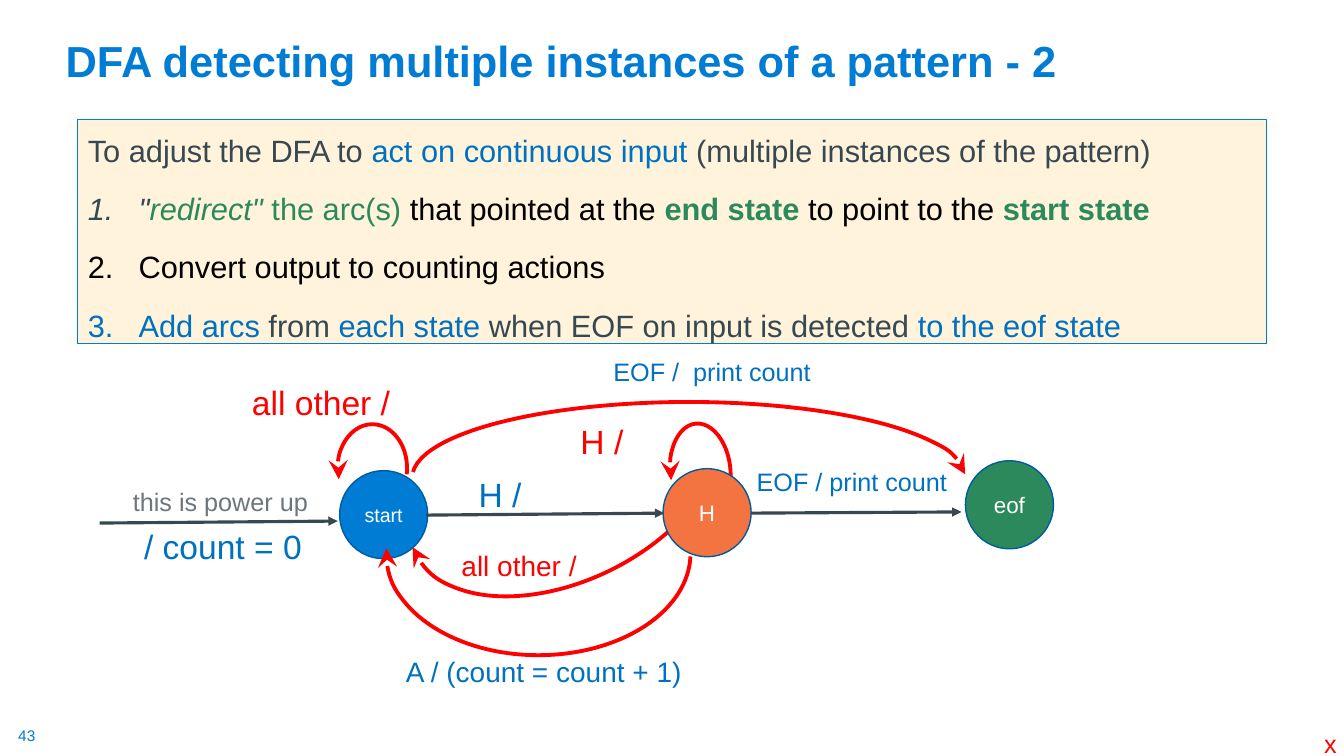
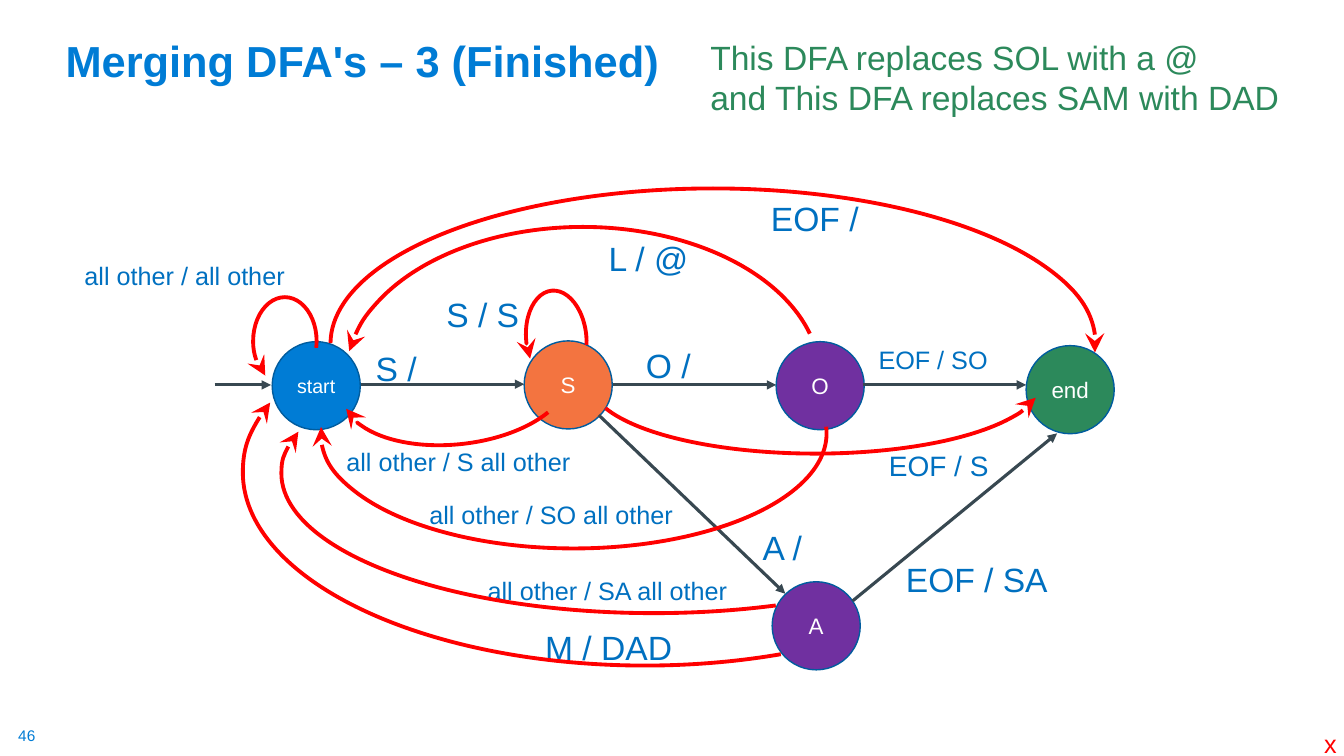
from lxml import etree
from pptx import Presentation
from pptx.dml.color import RGBColor
from pptx.enum.shapes import MSO_CONNECTOR, MSO_SHAPE
from pptx.enum.text import MSO_ANCHOR, MSO_AUTO_SIZE, PP_ALIGN
from pptx.oxml.ns import qn
from pptx.util import Cm, Pt

STRAIGHT = MSO_CONNECTOR.STRAIGHT
ARC = MSO_SHAPE.ARC
OVAL = MSO_SHAPE.OVAL
LEFT = PP_ALIGN.LEFT
CENTER = PP_ALIGN.CENTER
TOP = MSO_ANCHOR.TOP
MIDDLE = MSO_ANCHOR.MIDDLE
BOTTOM = MSO_ANCHOR.BOTTOM
NO_AUTO_SIZE = MSO_AUTO_SIZE.NONE

FONT = "Arial"
BLUE = RGBColor(0x00, 0x7C, 0xD5)
OUTLINE_BLUE = RGBColor(0x00, 0x5C, 0x9E)
TEXT_BLUE = RGBColor(0x00, 0x70, 0xC0)
GREEN = RGBColor(0x2C, 0x89, 0x5B)
ORANGE = RGBColor(0xF3, 0x74, 0x40)
PURPLE = RGBColor(0x70, 0x30, 0xA0)
RED = RGBColor(0xFF, 0x00, 0x00)
SLATE = RGBColor(0x38, 0x48, 0x51)
GRAY = RGBColor(0x6B, 0x76, 0x7D)
CREAM = RGBColor(0xFF, 0xF4, 0xDB)
WHITE = RGBColor(0xFF, 0xFF, 0xFF)
BLACK = RGBColor(0x00, 0x00, 0x00)

BODY_LAYOUT = 1
TITLE_LAYOUT = 5
STATE_DIAMETER = Cm(2.22)
LIST_INDENT = Cm(1.28)


def write_text(paragraph, text, size=24, color=TEXT_BLUE, bold=False, italic=False):
    run = paragraph.add_run()
    run.text = text
    run.font.name = FONT
    run.font.size = Pt(size)
    run.font.color.rgb = color
    run.font.bold = bold
    run.font.italic = italic


def place(shape, left, top, width, height):
    shape.left, shape.top = Cm(left), Cm(top)
    shape.width, shape.height = Cm(width), Cm(height)


def add_label(slide, text, left, top, width, margin=None, **text_format):
    lines = text.split("\n")
    height = Pt(text_format.get("size", 24) * 1.2 * len(lines) + 7.2)
    box = slide.shapes.add_textbox(Cm(left), Cm(top), Cm(width), height)
    frame = box.text_frame
    frame.word_wrap = False
    if margin is not None:
        frame.margin_left = frame.margin_top = margin
        frame.margin_right = frame.margin_bottom = margin
    for index, line in enumerate(lines):
        paragraph = frame.add_paragraph() if index else frame.paragraphs[0]
        write_text(paragraph, line, **text_format)


def add_slide(presentation, layout, title, number):
    slide = presentation.slides.add_slide(presentation.slide_layouts[layout])
    shape = slide.shapes.title
    place(shape, 1.4, 0.33, 29.21, 1.98)
    frame = shape.text_frame
    frame.auto_size = NO_AUTO_SIZE
    frame.vertical_anchor = BOTTOM
    paragraph = frame.paragraphs[0]
    paragraph.alignment = LEFT
    paragraph.line_spacing = 0.9
    write_text(paragraph, title, size=31, color=BLUE, bold=True)
    add_label(slide, number, 0.46, 18.31, 0.48, margin=0, size=11, color=BLUE)
    add_label(slide, "x", 33.12, 18.24, 0.84, size=18, color=RED)
    return slide


def fill_body(body, paragraphs):
    place(body, 1.96, 3, 29.95, 5.66)
    body.fill.solid()
    body.fill.fore_color.rgb = CREAM
    body.line.color.rgb = BLUE
    body.line.width = Pt(0.75)
    frame = body.text_frame
    frame.auto_size = NO_AUTO_SIZE
    frame.vertical_anchor = TOP
    for index, runs in enumerate(paragraphs):
        paragraph = frame.add_paragraph() if index else frame.paragraphs[0]
        paragraph.line_spacing = 1.2
        paragraph.space_before = Pt(10)
        set_numbering(paragraph, numbered=index > 0)
        for text, text_format in runs:
            write_text(paragraph, text, size=22, **text_format)


def set_numbering(paragraph, numbered):
    properties = paragraph._p.get_or_add_pPr()
    indent = LIST_INDENT if numbered else 0
    properties.set("marL", str(indent))
    properties.set("indent", str(-indent))
    if numbered:
        etree.SubElement(properties, qn("a:buAutoNum"), type="arabicPeriod")
    else:
        etree.SubElement(properties, qn("a:buNone"))


def add_state(slide, name, left, top, color, size=16):
    shape = slide.shapes.add_shape(
        OVAL, Cm(left), Cm(top), STATE_DIAMETER, STATE_DIAMETER)
    shape.shadow.inherit = False
    shape.fill.solid()
    shape.fill.fore_color.rgb = color
    shape.line.color.rgb = OUTLINE_BLUE
    shape.line.width = Pt(1)
    frame = shape.text_frame
    frame.word_wrap = False
    frame.vertical_anchor = MIDDLE
    frame.paragraphs[0].alignment = CENTER
    write_text(frame.paragraphs[0], name, size=size, color=WHITE)


def style_arrow(shape, color, width, head, head_size):
    shape.line.color.rgb = color
    shape.line.width = Pt(width)
    line = shape.element.spPr.find(qn("a:ln"))
    etree.SubElement(line, qn("a:tailEnd"), type=head, w=head_size, len=head_size)


def add_transition(slide, start_x, start_y, end_x, end_y):
    connector = slide.shapes.add_connector(
        STRAIGHT, Cm(start_x), Cm(start_y), Cm(end_x), Cm(end_y))
    style_arrow(connector, SLATE, 2.25, "triangle", "med")
    etree.SubElement(connector.element.spPr, qn("a:effectLst"))


def add_arc(slide, left, top, width, height, start, end, rotation=0, mirrored=False):
    shape = slide.shapes.add_shape(ARC, Cm(left), Cm(top), Cm(width), Cm(height))
    shape.shadow.inherit = False
    shape.fill.background()
    shape.adjustments[0] = start
    shape.adjustments[1] = end
    shape.rotation = rotation
    if mirrored:
        shape.element.spPr.find(qn("a:xfrm")).set("flipH", "1")
    style_arrow(shape, RED, 2.75, "stealth", "lg")


def build_counting_slide(presentation):
    slide = add_slide(presentation, BODY_LAYOUT,
                      "DFA detecting multiple instances of a pattern - 2", "43")
    blue, slate, black = ({"color": color} for color in (TEXT_BLUE, SLATE, BLACK))
    green_bold = {"color": GREEN, "bold": True}
    fill_body(slide.placeholders[1], [
        [("To adjust the DFA to ", slate),
         ("act on continuous input", blue),
         (" (multiple instances of the pattern)", slate)],
        [('"', {"color": SLATE, "italic": True}),
         ('redirect" ', {"color": GREEN, "italic": True}),
         ("the arc(s) ", {"color": GREEN}),
         ("that pointed at the ", black),
         ("end state ", green_bold),
         ("to point to the ", black),
         ("start state", green_bold)],
        [("Convert output to counting actions", black)],
        [("Add arcs ", blue),
         ("from ", slate),
         ("each state ", blue),
         ("when EOF on input is detected ", slate),
         ("to the eof state", blue)],
    ])

    add_arc(slide, 16.89, 10.67, 1.52, 2.41, 97.26, 7.02, rotation=354.6, mirrored=True)
    add_arc(slide, 10.03, 9.53, 8.41, 5.11, 139.73, 1.19, rotation=154.1)

    add_state(slide, "start", 8.56, 11.86, BLUE, size=14)
    add_state(slide, "H", 16.71, 11.81, ORANGE)
    add_state(slide, "eof", 24.33, 11.61, GREEN)

    for ends in (
        (2.51, 13.18, 8.51, 13.13),
        (10.74, 12.98, 16.74, 12.93),
        (18.92, 12.93, 24.23, 12.9),
    ):
        add_transition(slide, *ends)

    add_arc(slide, 8.51, 10.69, 1.75, 2.21, 101.78, 11.06, mirrored=True)
    add_arc(slide, 9.73, 11.38, 7.67, 5.13, 108.69, 1.19, rotation=180)
    add_arc(slide, 10.39, 10.13, 13.94, 3.81, 108.69, 215.59)

    for text, left, top, width, size, color in (
        ("H /", 14.38, 10.49, 1.6, 24, RED),
        ("all other /", 11.38, 13.69, 3.43, 20, RED),
        ("H /", 11.81, 11.81, 1.6, 24, TEXT_BLUE),
        ("all other /", 6.1, 9.5, 4.04, 24, RED),
        ("A / (count = count + 1)", 9.98, 16.36, 7.49, 20, TEXT_BLUE),
        ("EOF / print count", 18.82, 11.63, 5.54, 18, TEXT_BLUE),
        ("EOF /  print count", 15.21, 8.86, 5.54, 18, TEXT_BLUE),
        ("/ count = 0", 3.38, 13.13, 4.52, 24, TEXT_BLUE),
        ("this is power up", 3.1, 12.14, 4.98, 18, GRAY),
    ):
        add_label(slide, text, left, top, width, size=size, color=color)


def build_merged_slide(presentation):
    slide = add_slide(presentation, TITLE_LAYOUT, "Merging DFA's – 3 (Finished)", "46")
    add_label(slide, "This DFA replaces SOL with a @\nand This DFA replaces SAM with DAD",
              17.65, 0.81, 15.62, color=GREEN)

    add_state(slide, "start", 6.86, 8.61, BLUE, size=14)
    add_state(slide, "S", 13.21, 8.59, ORANGE)
    add_state(slide, "O", 19.56, 8.61, PURPLE)
    add_state(slide, "end", 25.86, 8.71, GREEN)
    add_state(slide, "A", 19.46, 14.66, PURPLE)

    for ends in (
        (5.41, 9.7, 6.83, 9.7),
        (9.09, 9.68, 13.21, 9.68),
        (15.44, 9.7, 19.56, 9.7),
        (21.74, 9.7, 25.86, 9.7),
        (15.09, 10.46, 19.79, 14.96),
        (21.49, 15.14, 26.64, 10.92),
    ):
        add_transition(slide, *ends)

    for text, left, top, width, size in (
        ("S /", 9.22, 8.64, 1.8, 24),
        ("O /", 16.03, 8.56, 1.65, 24),
        ("A /", 18.97, 13.16, 1.8, 24),
        ("S / S", 11, 7.29, 2.36, 24),
        ("L / @", 15.09, 5.87, 2.54, 24),
        ("M / DAD", 13.49, 15.67, 3.73, 24),
        ("EOF /", 19.18, 4.85, 2.74, 24),
        ("EOF / S", 22.15, 11.18, 3.05, 20),
        ("EOF / SO", 21.89, 8.56, 3.3, 18),
        ("EOF / SA", 22.58, 13.97, 4.11, 24),
        ("all other / all other", 1.88, 6.43, 5.61, 18),
        ("all other / S all other", 8.48, 11.13, 6.22, 18),
        ("all other / SO all other", 10.57, 12.45, 6.71, 18),
        ("all other / SA all other", 12.04, 14.38, 6.63, 18),
    ):
        add_label(slide, text, left, top, width, size=size)

    add_arc(slide, 6.38, 7.49, 1.6, 2.21, 100.64, 36.25, mirrored=True)
    add_arc(slide, 13.26, 7.32, 1.52, 2.41, 97.26, 19.54, rotation=354.6, mirrored=True)
    add_arc(slide, 8.71, 5.72, 11.96, 7.59, 114.56, 212.13, mirrored=True)
    add_arc(slide, 8.33, 4.75, 19.28, 7.82, 108.05, 0.8)
    add_arc(slide, 14.88, 7.85, 11.35, 3.58, 112.15, 213.64, rotation=180, mirrored=True)
    add_arc(slide, 10.01, 6.86, 2.95, 5.72, 67.32, 158.61, rotation=263.8)
    add_arc(slide, 8.08, 8.03, 12.75, 5.79, 107.07, 0.89, rotation=180)
    add_arc(slide, 7.09, 8.41, 18.77, 7.04, 136.35, 4.02, rotation=180)
    add_arc(slide, 6.12, 7.04, 20.27, 9.73, 139.94, 6.34, rotation=180)


def main():
    presentation = Presentation()
    presentation.slide_width = Cm(33.87)
    presentation.slide_height = Cm(19.05)
    build_counting_slide(presentation)
    build_merged_slide(presentation)
    presentation.save("out.pptx")


if __name__ == "__main__":
    main()
